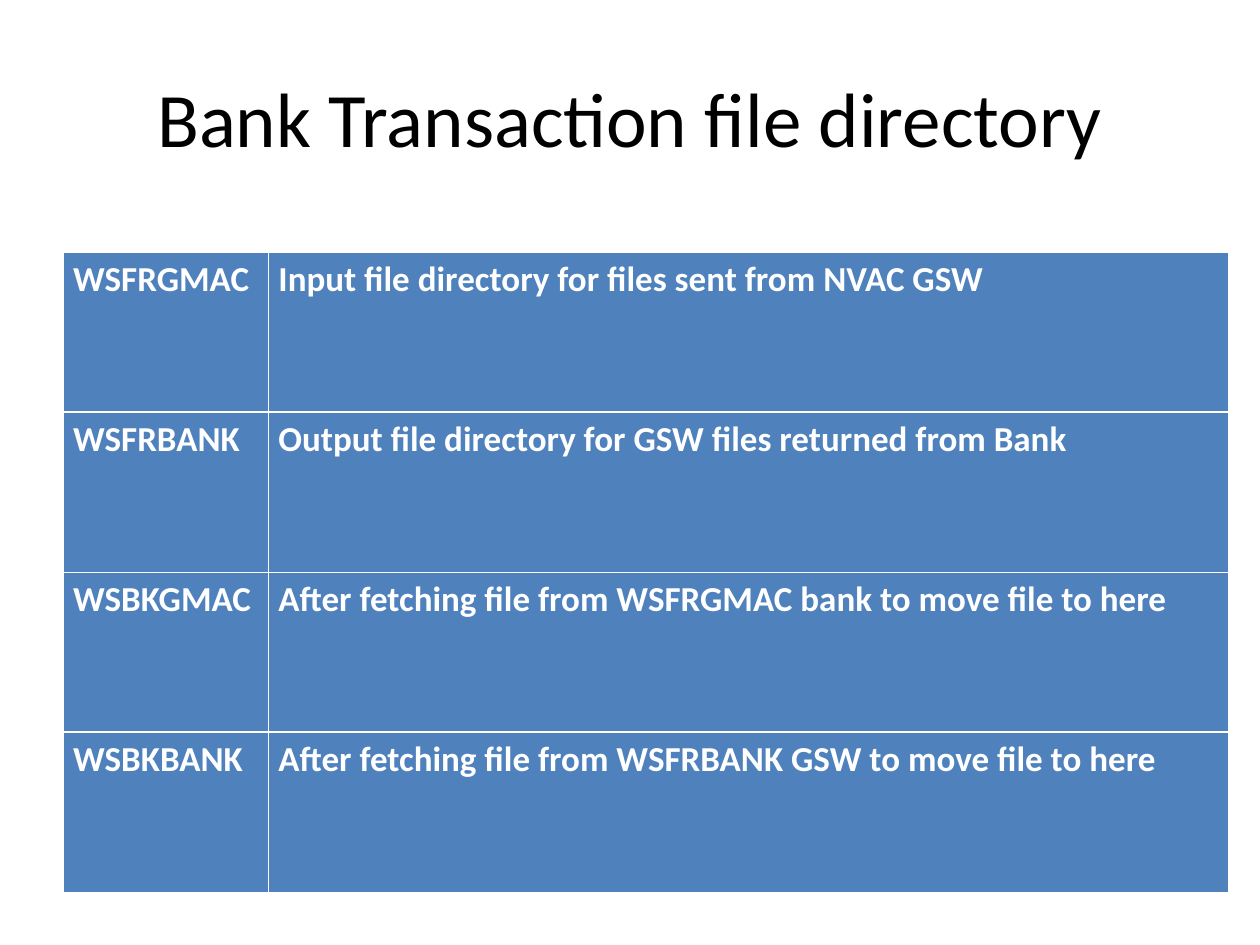
from lxml import etree
from pptx import Presentation
from pptx import util as u
from pptx.dml.color import RGBColor
from pptx.enum import text
from pptx.oxml import ns

HUES = {"ink": "000000", "cell": "4F81BD", "white": "FFFFFF"}
ROWS = [
    ("WSFRGMAC", "Input file directory for files sent from NVAC GSW"),
    ("WSFRBANK", "Output file directory for GSW files returned from Bank"),
    ("WSBKGMAC", "After fetching file from WSFRGMAC bank to move file to here"),
    ("WSBKBANK", "After fetching file from WSFRBANK GSW to move file to here"),
]
COLS = (1.63, 7.62)
HIGH = 1.27
THIN, THICK = 0.45, 1.47


def style(para, size, hue, bold):
    font = para.runs[0].font
    font.name, font.size, font.bold = "Calibri", u.Pt(size), bold
    font.color.rgb = RGBColor.from_string(HUES[hue])


def border(cell, side, width):
    props = cell._tc.get_or_add_tcPr()
    line = etree.SubElement(props, ns.qn("a:" + side), w=str(u.Pt(width)))
    fill = etree.SubElement(line, ns.qn("a:solidFill"))
    etree.SubElement(fill, ns.qn("a:srgbClr"), val=HUES["white"])


prs = Presentation()
prs.slide_width, prs.slide_height = u.Inches(10), u.Inches(7.5)
slide = prs.slides.add_slide(prs.slide_layouts[5])

# Title
title = slide.shapes.title
title.left, title.top = u.Inches(0.5), u.Inches(0.3)
title.width, title.height = u.Inches(9), u.Inches(1.25)
title.text_frame.text = "Bank Transaction file directory"
title.text_frame.vertical_anchor = text.MSO_ANCHOR.MIDDLE
para = title.text_frame.paragraphs[0]
para.alignment = text.PP_ALIGN.CENTER
style(para, 44, "ink", False)

# Directory table
table = slide.shapes.add_table(
    len(ROWS), len(COLS), u.Inches(0.5), u.Inches(2),
    u.Inches(sum(COLS)), u.Inches(HIGH * len(ROWS))).table
table.first_row = table.horz_banding = False
for col, width in zip(table.columns, COLS):
    col.width = u.Inches(width)

for r, row in enumerate(ROWS):
    table.rows[r].height = u.Inches(HIGH)
    # The heavy rule lies below each even row and above each odd one
    heavy = "lnT" if r % 2 else "lnB"
    for c, words in enumerate(row):
        cell = table.cell(r, c)
        cell.text_frame.text = words
        style(cell.text_frame.paragraphs[0], 20, "white", True)
        cell.margin_left = cell.margin_right = u.Inches(0.08)
        cell.margin_top = cell.margin_bottom = u.Inches(0.05)
        for side in ("lnL", "lnR", "lnT", "lnB"):
            border(cell, side, THICK if side == heavy else THIN)
        cell.fill.solid()
        cell.fill.fore_color.rgb = RGBColor.from_string(HUES["cell"])

prs.save("out.pptx")
